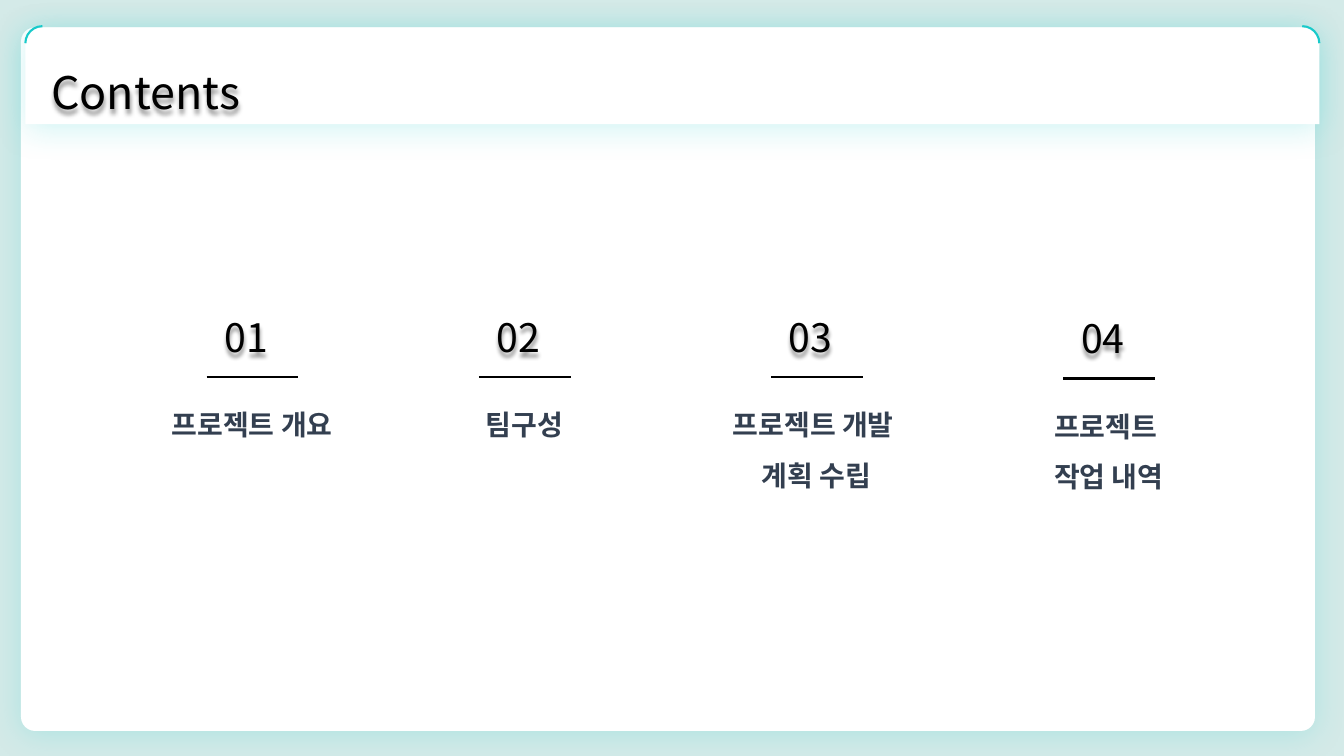
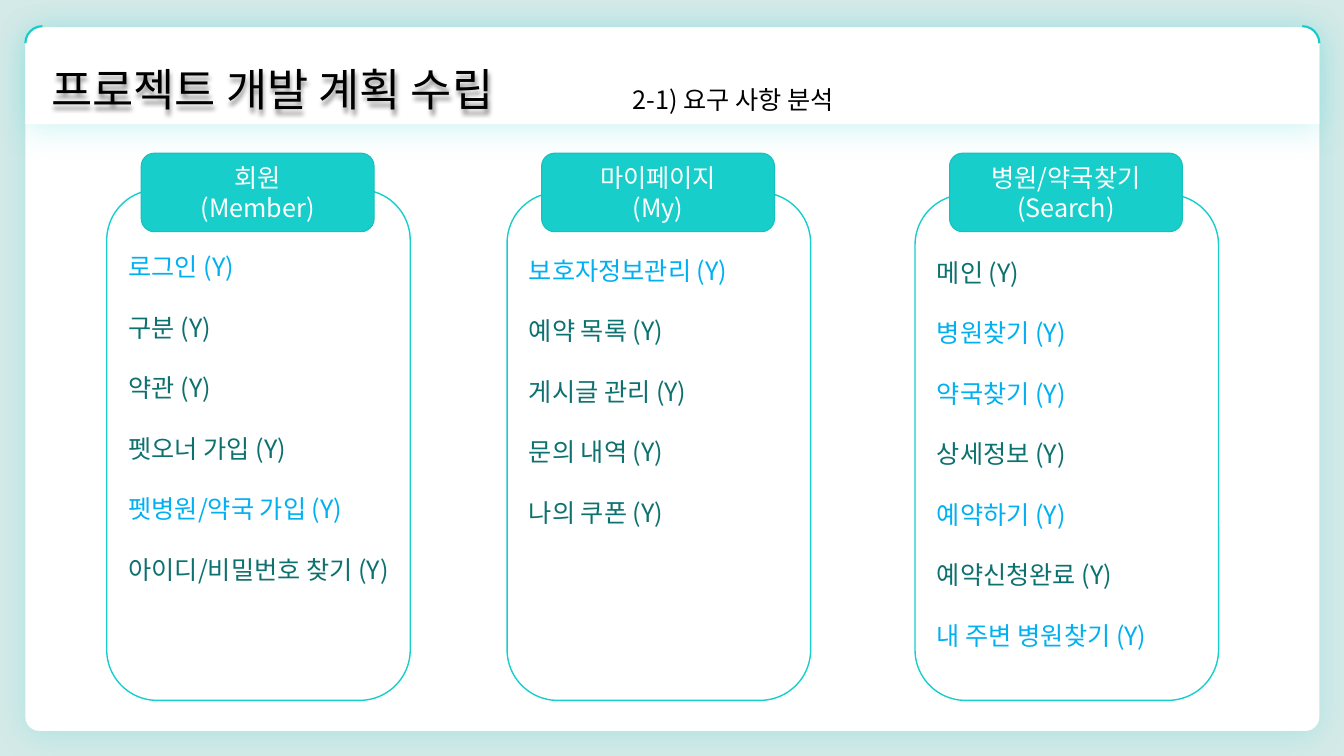
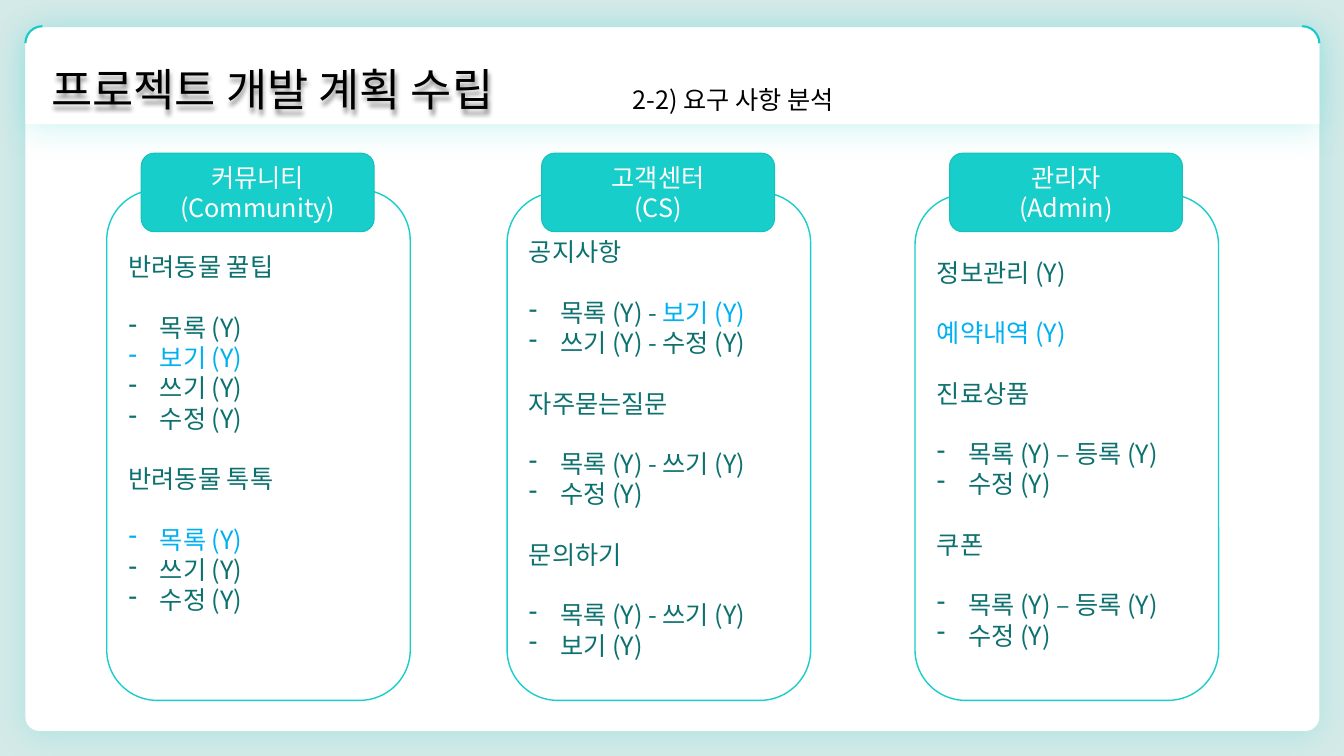
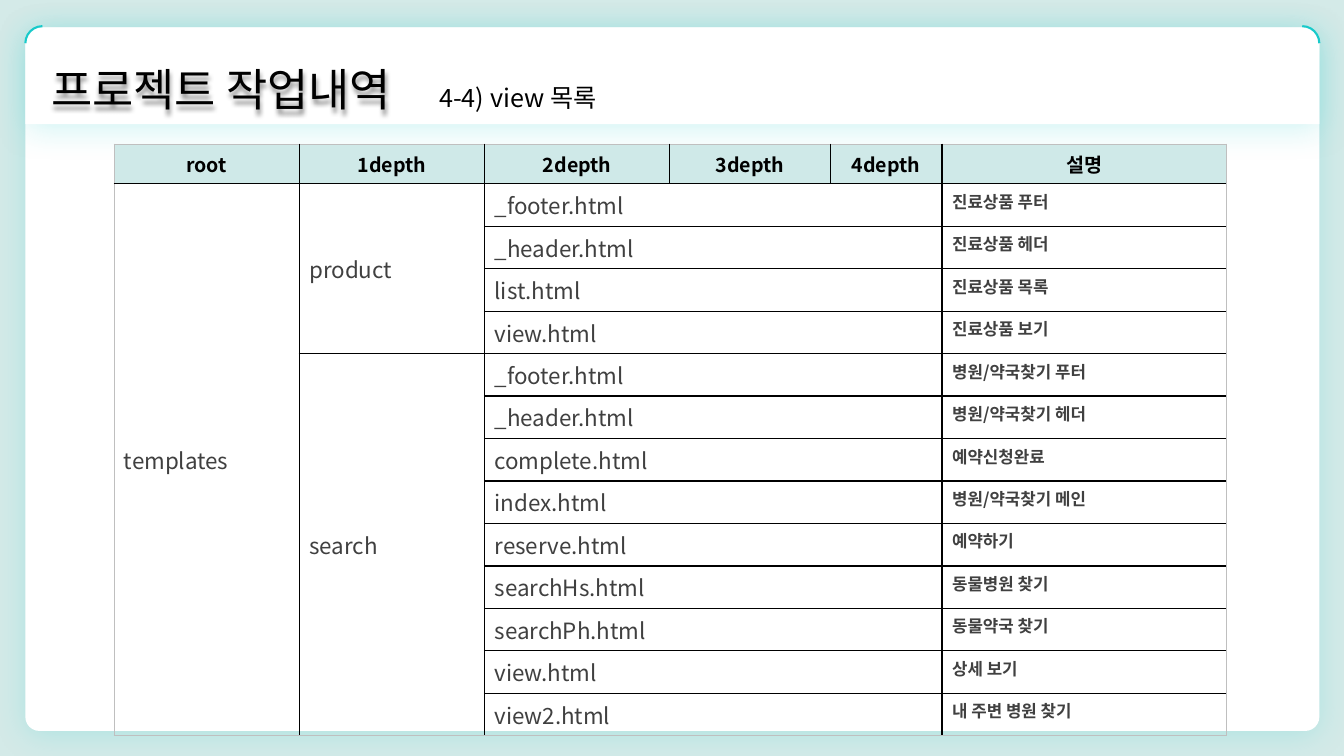
import dataclasses
import lxml.etree
import pptx
import pptx.dml.color
import pptx.enum.shapes
import pptx.enum.text
import pptx.oxml.ns
import pptx.util

Cm = pptx.util.Cm
Pt = pptx.util.Pt
qn = pptx.oxml.ns.qn
Kind = pptx.enum.shapes.MSO_SHAPE
Align = pptx.enum.text.PP_ALIGN
Anchor = pptx.enum.text.MSO_ANCHOR
Fit = pptx.enum.text.MSO_AUTO_SIZE


@dataclasses.dataclass(frozen=True)
class Theme:
    font: str = "Noto Sans CJK KR"
    back: str = "D4EAE8"
    white: str = "FFFFFF"
    black: str = "000000"
    glow: str = "18CACA"
    teal: str = "18CECA"
    edge: str = "16C0BC"
    navy: str = "333F50"
    dark: str = "0D716F"
    blue: str = "00B0F0"
    head: str = "CFE9E8"
    gray: str = "404040"
    rim: str = "BFBFBF"
    title: int = 32
    index: int = 28
    label: int = 20
    body: int = 18
    cell: int = 16
    top: int = 14
    note: int = 12


T = Theme()
GLOW = {"color": T.glow, "alpha": 20, "blur": 23, "dist": 3}
SHADE = {"color": T.black, "alpha": 43, "blur": 3, "dist": 3}

PARTS = [
    ("01", 5.41, 7.77, ["프로젝트 개요"]),
    ("02", 12.27, 7.77, ["팀구성"]),
    ("03", 19.63, 7.77, ["프로젝트 개발 ", "계획 수립"]),
    ("04", 27, 7.8, ["프로젝트 ", "작업 내역"]),
]

COLUMNS = [(2.69, 4.78), (12.78, 4.85), (23.06, 4.9)]
BOTTOM = 17.65

# Marks: "- " starts a bullet, "*" turns the rest of the line blue.
NEEDS = [
    ("2-1) 요구 사항 분석", [
        (["회원", "(Member)"], 6.22, [
            "*로그인 (Y)", "구분 (Y)", "약관 (Y)", "펫오너 가입 (Y)",
            "*펫병원/약국 가입 (Y)", "아이디/비밀번호 찾기 (Y)"]),
        (["마이페이지", "(My)"], 6.3, [
            "*보호자정보관리 (Y)", "예약 목록 (Y)", "게시글 관리 (Y)",
            "문의 내역 (Y)", "나의 쿠폰 (Y)"]),
        (["병원/약국찾기(Search)"], 6.35, [
            "메인 (Y)", "*병원찾기 (Y)", "*약국찾기 (Y)", "상세정보 (Y)",
            "*예약하기 (Y)", "예약신청완료 (Y)", "*내 주변 병원찾기 (Y)"]),
    ]),
    ("2-2) 요구 사항 분석", [
        (["커뮤니티", "(Community)"], 6.22, [
            "반려동물 꿀팁", "- 목록 (Y)", "- *보기 (Y)", "- 쓰기 (Y)",
            "- 수정 (Y)", "반려동물 톡톡", "- *목록 (Y)", "- 쓰기 (Y)",
            "- 수정 (Y)"]),
        (["고객센터", "(CS)"], 5.84, [
            "공지사항", "- 목록 (Y) - *보기 (Y)", "- 쓰기 (Y) - 수정 (Y)",
            "자주묻는질문", "- 목록 (Y) - 쓰기 (Y)", "- 수정 (Y)",
            "문의하기", "- 목록 (Y) - 쓰기 (Y)", "- 보기 (Y)"]),
        (["관리자", "(Admin)"], 6.35, [
            "정보관리 (Y)", "*예약내역 (Y)", "진료상품",
            "- 목록 (Y) – 등록 (Y)", "- 수정 (Y)", "쿠폰",
            "- 목록 (Y) – 등록 (Y)", "- 수정 (Y)"]),
    ]),
]

HEADS = ["root", "1depth", "2depth", "3depth", "4depth", "설명"]
WIDTHS = [4.67, 4.67, 4.67, 4.04, 2.82, 7.16]
ROOT = "templates"
VIEWS = {
    "product": [
        ("_footer.html", "진료상품 푸터"),
        ("_header.html", "진료상품 헤더"),
        ("list.html", "진료상품 목록"),
        ("view.html", "진료상품 보기"),
    ],
    "search": [
        ("_footer.html", "병원/약국찾기 푸터"),
        ("_header.html", "병원/약국찾기 헤더"),
        ("complete.html", "예약신청완료"),
        ("index.html", "병원/약국찾기 메인"),
        ("reserve.html", "예약하기"),
        ("searchHs.html", "동물병원 찾기"),
        ("searchPh.html", "동물약국 찾기"),
        ("view.html", "상세 보기"),
        ("view2.html", "내 주변 병원 찾기"),
    ],
}


def rgb(code):
    return pptx.dml.color.RGBColor.from_string(code)


def apply(item, form):
    for name, value in form.items():
        setattr(item, name, value)


def node(parent, tag, **attrs):
    child = lxml.etree.SubElement(parent, qn(tag))
    for name, value in attrs.items():
        child.set(name, str(value))
    return child


def paint(fill, color):
    if color:
        fill.solid()
        fill.fore_color.rgb = rgb(color)
    else:
        fill.background()


def shade(shape, form):
    shape.shadow.inherit = False
    group = shape.element.spPr.find(qn("a:effectLst"))
    drop = node(group, "a:outerShdw", blurRad=Pt(form["blur"]),
                dist=Pt(form["dist"]), dir=90 * 60000, algn="t", rotWithShape=0)
    color = node(drop, "a:srgbClr", val=form["color"])
    node(color, "a:alpha", val=form["alpha"] * 1000)


def write(para, text, size, color, bold=False):
    run = para.add_run()
    run.text = text
    apply(run.font, {"name": T.font, "size": Pt(size), "bold": bold})
    run.font.color.rgb = rgb(color)
    node(run.font._element, "a:ea", typeface=T.font)


def fill_text(frame, lines, size, color, bold=False, **form):
    for spot, line in enumerate(lines):
        para = frame.add_paragraph() if spot else frame.paragraphs[0]
        apply(para, form)
        write(para, line, size, color, bold)


def add_box(slide, place):
    box = slide.shapes.add_textbox(*map(Cm, place))
    apply(box.text_frame, {"word_wrap": True, "auto_size": Fit.SHAPE_TO_FIT_TEXT})
    return box


def add_shape(slide, kind, place, fill=None, line=None, width=1, adjust=()):
    shape = slide.shapes.add_shape(kind, *map(Cm, place))
    for spot, value in enumerate(adjust):
        shape.adjustments[spot] = value
    paint(shape.fill, fill)
    paint(shape.line.fill, line)
    if line:
        shape.line.width = Pt(width)
    shape.shadow.inherit = False
    return shape


def add_title(slide, text, top=1.42):
    box = add_box(slide, (1.04, top, 15.44, 1.63))
    fill_text(box.text_frame, [text], T.title, T.black)
    shade(box, SHADE)


def add_note(slide, text, left, top):
    box = add_box(slide, (left, top, 11.89, 1.02))
    fill_text(box.text_frame, [text], T.body, T.black)


def add_page(deck, left=0.64):
    slide = deck.slides.add_slide(deck.slide_layouts[6])
    paint(slide.background.fill, T.back)
    card = add_shape(slide, Kind.ROUNDED_RECTANGLE, (left, 0.69, 32.61, 17.73),
                     T.white, adjust=[0.02])
    band = add_shape(slide, Kind.ROUND_2_SAME_RECTANGLE,
                     (0.64, 0.69, 32.61, 2.44), T.white)
    for shape in (card, band):
        shade(shape, GLOW)
    for side, start in ((0.64, 108), (32.39, 162)):
        add_shape(slide, Kind.ARC, (side, 0.66, 0.86, 0.86), line=T.glow,
                  width=1.5, adjust=(start, start + 54))
    return slide


def add_rule(slide, left, top, width):
    rule = slide.shapes.add_connector(
        pptx.enum.shapes.MSO_CONNECTOR.STRAIGHT,
        *map(Cm, (left, top, left + width, top)))
    rule.line.width = Pt(2)
    paint(rule.line.fill, T.black)
    node(rule.element.spPr, "a:effectLst")


def add_list(frame, items):
    past = None
    for spot, item in enumerate(items):
        para = frame.add_paragraph() if spot else frame.paragraphs[0]
        dash = item.startswith("- ")
        if spot and not (dash and past):
            para.space_before = Pt(21.6)
        if dash:
            props = para._p.get_or_add_pPr()
            apply_indent = {"marL": Cm(0.79), "indent": -Cm(0.79)}
            for name, value in apply_indent.items():
                props.set(name, str(value))
            node(props, "a:buFontTx")
            node(props, "a:buChar", char="-")
        plain, _, bright = item.removeprefix("- ").partition("*")
        for text, color in ((plain, T.dark), (bright, T.blue)):
            if text:
                write(para, text, T.body, color)
        past = dash


def contents(deck):
    slide = add_page(deck, 0.53)
    add_title(slide, "Contents", 1.5)
    for number, left, top, lines in PARTS:
        box = add_box(slide, (left, top, 1.9, 1.45))
        fill_text(box.text_frame, [number], T.index, T.black)
        shade(box, SHADE)
        add_rule(slide, left - 0.2, top + 1.73, 2.31)
        box = add_box(slide, (left - 1.85, top + 1.96, 5.59, 1.42))
        fill_text(box.text_frame, lines, T.label, T.navy, True,
                  alignment=Align.CENTER, line_spacing=1.5)


def needs(deck, note, groups):
    slide = add_page(deck)
    add_note(slide, note, 15.7, 2.01)
    add_title(slide, "프로젝트 개발 계획 수립")
    for (left, top), (names, start, items) in zip(COLUMNS, groups):
        add_shape(slide, Kind.ROUNDED_RECTANGLE,
                  (left, top, 7.65, BOTTOM - top), line=T.teal)
        tab = add_shape(slide, Kind.ROUNDED_RECTANGLE,
                        (left + 0.87, 3.86, 5.87, 1.98), T.teal, T.edge, 0.75)
        apply(tab.text_frame, {"word_wrap": True, "vertical_anchor": Anchor.MIDDLE})
        fill_text(tab.text_frame, names, T.body, T.white, alignment=Align.CENTER)
        box = add_box(slide, (left + 0.3, start, 7.67, 8))
        add_list(box.text_frame, items)


def set_cell(cell, text, size, color, bold=False, middle=True, align=Align.LEFT):
    cell.vertical_anchor = Anchor.MIDDLE if middle else Anchor.TOP
    fill_text(cell.text_frame, [text], size, color, bold, alignment=align)


def add_edges(cell, outer):
    props = cell._tc.get_or_add_tcPr()
    for side, rim in zip("LRTB", outer):
        line = node(props, "a:ln" + side, w=Pt(0.5 if rim else 1))
        fill = node(line, "a:solidFill")
        node(fill, "a:srgbClr", val=T.rim if rim else T.black)


def views(deck):
    slide = add_page(deck)
    files = [pair for group in VIEWS.values() for pair in group]
    rows, cols = len(files) + 1, len(HEADS)
    frame = slide.shapes.add_table(rows, cols, *map(Cm, (2.87, 3.63, 28.03, 14.91)))
    table = frame.table
    apply(table, {"first_row": False, "horz_banding": False})
    for col, width in zip(table.columns, WIDTHS):
        col.width = Cm(width)
    for spot, row in enumerate(table.rows):
        row.height = Cm(1.07 if spot else 1)

    table.cell(1, 0).merge(table.cell(rows - 1, 0))
    first = 1
    for name, group in VIEWS.items():
        table.cell(first, 1).merge(table.cell(first + len(group) - 1, 1))
        set_cell(table.cell(first, 1), name, T.cell, T.gray)
        first += len(group)
    set_cell(table.cell(1, 0), ROOT, T.cell, T.gray)
    for col, head in enumerate(HEADS):
        set_cell(table.cell(0, col), head, T.top, T.black, True, align=Align.CENTER)
    for row, (name, about) in enumerate(files, 1):
        table.cell(row, 2).merge(table.cell(row, 4))
        set_cell(table.cell(row, 2), name, T.cell, T.gray, middle=False)
        set_cell(table.cell(row, 5), about, T.note, T.gray, True, middle=False)

    for row in range(rows):
        for col in range(cols):
            cell = table.cell(row, col)
            high = cell.span_height if cell.is_merge_origin else 1
            add_edges(cell, (col == 0, col == cols - 1, row == 0, row + high == rows))
            paint(cell.fill, None if row else T.head)
    add_title(slide, "프로젝트 작업내역")
    add_note(slide, "4-4) view 목록", 10.82, 1.96)


def main():
    deck = pptx.Presentation()
    apply(deck, {"slide_width": Cm(33.87), "slide_height": Cm(19.05)})
    contents(deck)
    for note, groups in NEEDS:
        needs(deck, note, groups)
    views(deck)
    deck.save("out.pptx")


if __name__ == "__main__":
    main()
